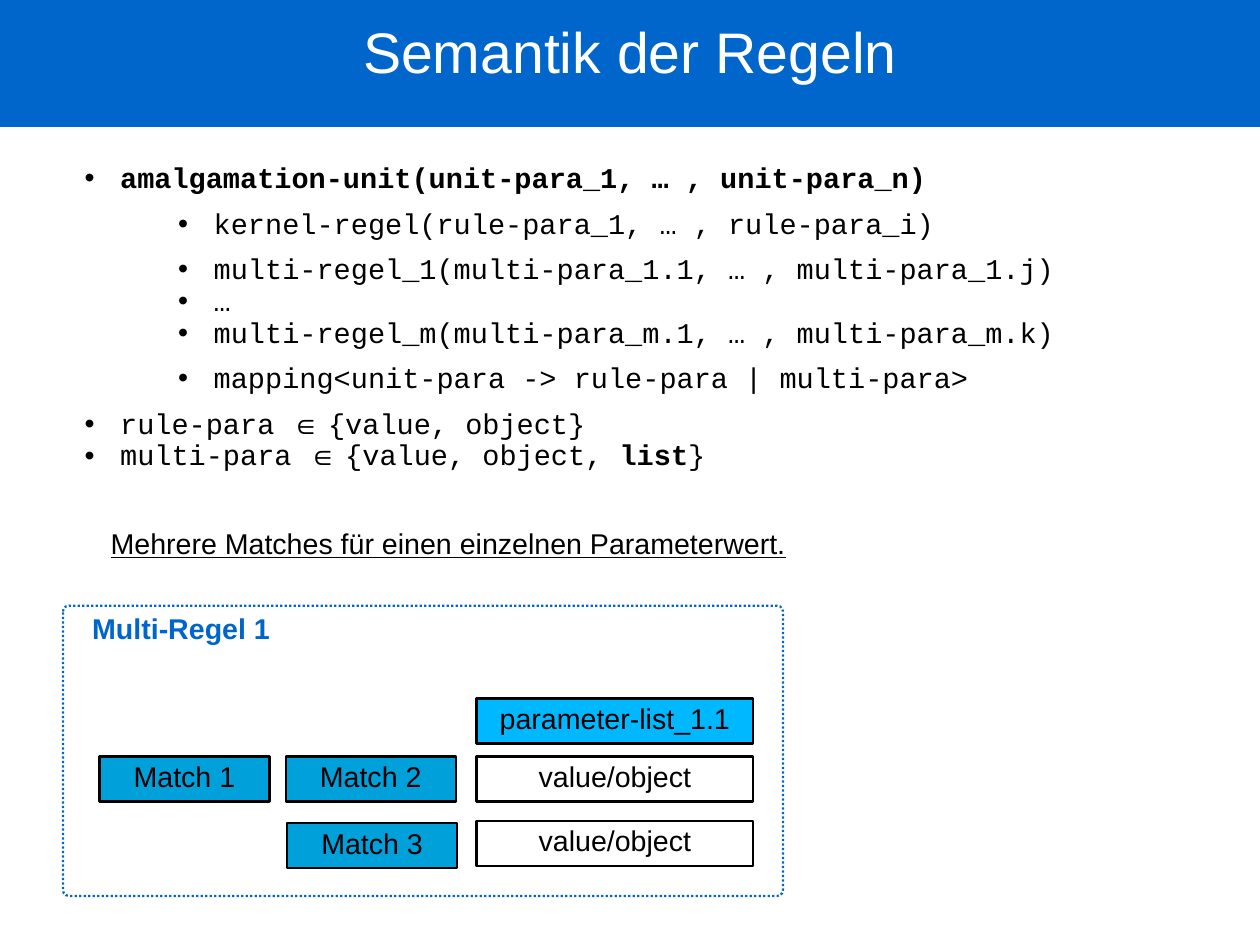
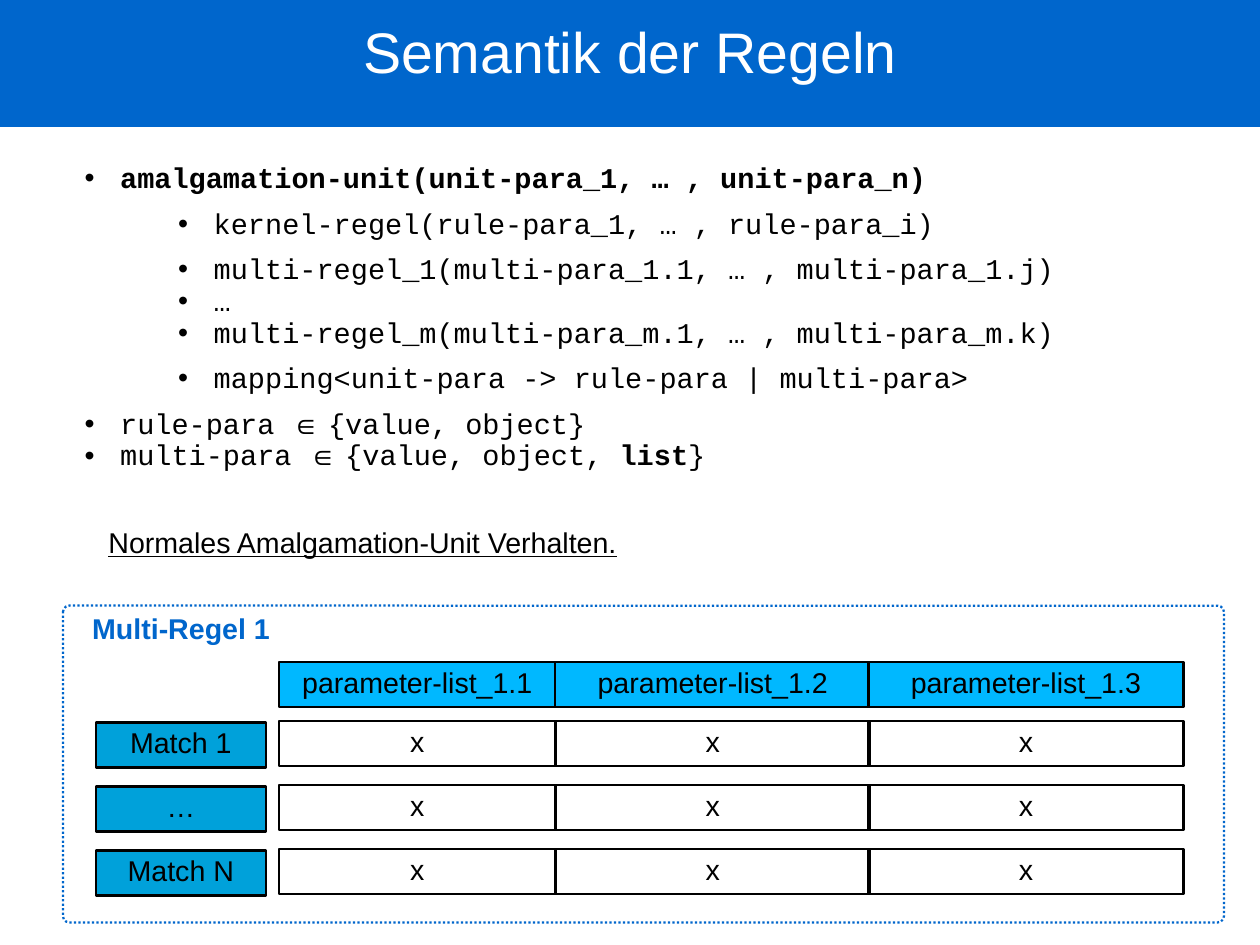
from lxml.etree import SubElement
from pptx import Presentation
from pptx.dml.color import RGBColor
from pptx.enum.dml import MSO_LINE
from pptx.enum.shapes import MSO_SHAPE
from pptx.enum.text import MSO_ANCHOR, PP_ALIGN
from pptx.oxml.ns import qn
from pptx.util import Cm, Pt

# Shared colours, fonts and sizes
BLUE, HEADER, MATCH = "0066CC", "00B8FF", "00A1DA"
BLACK, WHITE = "000000", "FFFFFF"
SANS, MONO = "Arial", "Courier New"
LINE_SPACING = 0.93
BOX_H, MATCH_W, LIST_W = 1, 3.78, 6.15

# Body lines: level, space before in points, runs of (text, font, bold)
BODY = [
    (0, 0, [("amalgamation-unit(unit-para_1, … , unit-para_n)", MONO, True)]),
    (1, 8.5, [("kernel-regel(rule-para_1, … , rule-para_i)", MONO, False)]),
    (1, 8.5, [("multi-regel_1(multi-para_1.1, … , multi-para_1.j)", MONO, False)]),
    (1, 0, [("…", MONO, False)]),
    (1, 0, [("multi-regel_m(multi-para_m.1, … , multi-para_m.k)", MONO, False)]),
    (1, 8.5, [("mapping<unit-para -> rule-para | multi-para>", MONO, False)]),
    (0, 8.5, [("rule-para ", MONO, False), ("∈ ", SANS, False),
              ("{value, object}", MONO, False)]),
    (0, 0, [("multi-para ", MONO, False), ("∈ ", SANS, False),
            ("{value, object, ", MONO, False), ("list", MONO, True),
            ("}", MONO, False)]),
]

# Slide 1: matches share one parameter list
x_match, x_list = 6.35, 10.59
boxes_1 = [
    (x_list, 15.52, LIST_W, "parameter-list_1.1", HEADER),
    (2.21, 16.81, MATCH_W, "Match 1", MATCH),
    (x_match, 16.81, MATCH_W, "Match 2", MATCH),
    (x_list, 16.81, LIST_W, "value/object", None),
    (x_match + 0.03, 18.29, MATCH_W, "Match 3", MATCH),
    (x_list, 18.24, LIST_W, "value/object", None),
]

# Slide 2: one row per match, one column per parameter list
columns = [(6.2, LIST_W), (12.34, 7), (19.3, 7)]
boxes_2 = [(x, 14.71, w, f"parameter-list_1.{i}", HEADER)
           for i, (x, w) in enumerate(columns, 1)]
for row, label in enumerate(["Match 1", "…", "Match N"]):
    y = 16.03 + row * 1.42
    boxes_2.append((2.13, y + 0.03, MATCH_W, label, MATCH))
    boxes_2 += [(x, y, w, "x", None) for x, w in columns]

# Caption, its left and top, frame width and height, boxes
SLIDES = [
    ("Mehrere Matches für einen einzelnen Parameterwert.", 2.21, 11.63,
     16, 6.45, boxes_1),
    ("Normales Amalgamation-Unit Verhalten.", 2.16, 11.6,
     25.8, 7.04, boxes_2),
]


def add_run(p, text, color=BLACK, font=SANS, size=18, bold=False, underline=False):
    p.line_spacing = LINE_SPACING
    r = p.add_run()
    r.text = text
    r.font.name, r.font.size = font, Pt(size)
    r.font.bold, r.font.underline = bold, underline
    r.font.color.rgb = RGBColor.from_string(color)


def add_box(s, x, y, w, h, fill=None, line=None, width=1.5, kind=MSO_SHAPE.RECTANGLE):
    sp = s.shapes.add_shape(kind, Cm(x), Cm(y), Cm(w), Cm(h))
    sp.shadow.inherit = False
    if fill:
        sp.fill.solid()
        sp.fill.fore_color.rgb = RGBColor.from_string(fill)
    else:
        sp.fill.background()
    if line:
        sp.line.color.rgb = RGBColor.from_string(line)
        sp.line.width = Pt(width)
    else:
        sp.line.fill.background()
    sp.text_frame.vertical_anchor = MSO_ANCHOR.TOP
    sp.text_frame.paragraphs[0].alignment = PP_ALIGN.CENTER
    return sp


prs = Presentation()
prs.slide_width, prs.slide_height = Cm(28), Cm(21)

for caption, cap_x, cap_y, frame_w, frame_h, boxes in SLIDES:
    s = prs.slides.add_slide(prs.slide_layouts[6])

    # Title band
    tf = add_box(s, 0, 0, 28, 2.82, BLUE).text_frame
    tf.vertical_anchor = MSO_ANCHOR.MIDDLE
    tf.margin_top, tf.margin_bottom = 0, Cm(0.4)
    add_run(tf.paragraphs[0], "Semantik der Regeln", WHITE, size=36)

    # Bulleted definition
    tf = s.shapes.add_textbox(Cm(1.63), Cm(3.5), Cm(24), Cm(7.92)).text_frame
    tf.word_wrap = True
    for i, (level, before, runs) in enumerate(BODY):
        p = tf.paragraphs[0] if i == 0 else tf.add_paragraph()
        p.level = level
        pPr = p._p.get_or_add_pPr()
        pPr.set("marL", str(Cm(2.87 if level else 0.79)))
        pPr.set("indent", str(Cm(-0.79)))
        SubElement(pPr, qn("a:buFont")).set("typeface", SANS)
        SubElement(pPr, qn("a:buChar")).set("char", "•")
        if before:
            p.space_before = Pt(before)
        for text, font, bold in runs:
            add_run(p, text, font=font, bold=bold)

    # Caption
    tf = s.shapes.add_textbox(Cm(cap_x), Cm(cap_y), Cm(18), Cm(0.97)).text_frame
    tf.word_wrap = True
    add_run(tf.paragraphs[0], caption, underline=True)

    # Dotted frame with its heading
    sp = add_box(s, 1.4, 13.46, frame_w, frame_h, line=BLUE, width=1.42,
                 kind=MSO_SHAPE.ROUNDED_RECTANGLE)
    sp.adjustments[0] = 0.02
    sp.line.dash_style = MSO_LINE.ROUND_DOT
    tf = s.shapes.add_textbox(Cm(1.8), Cm(13.46), Cm(7.14), Cm(1)).text_frame
    tf.word_wrap = True
    tf.margin_top = Cm(0.18)
    add_run(tf.paragraphs[0], "Multi-Regel 1", BLUE, bold=True)

    # Matches and parameter lists
    for x, y, w, label, fill in boxes:
        sp = add_box(s, x, y, w, BOX_H, fill, BLACK)
        add_run(sp.text_frame.paragraphs[0], label)

prs.save("out.pptx")
